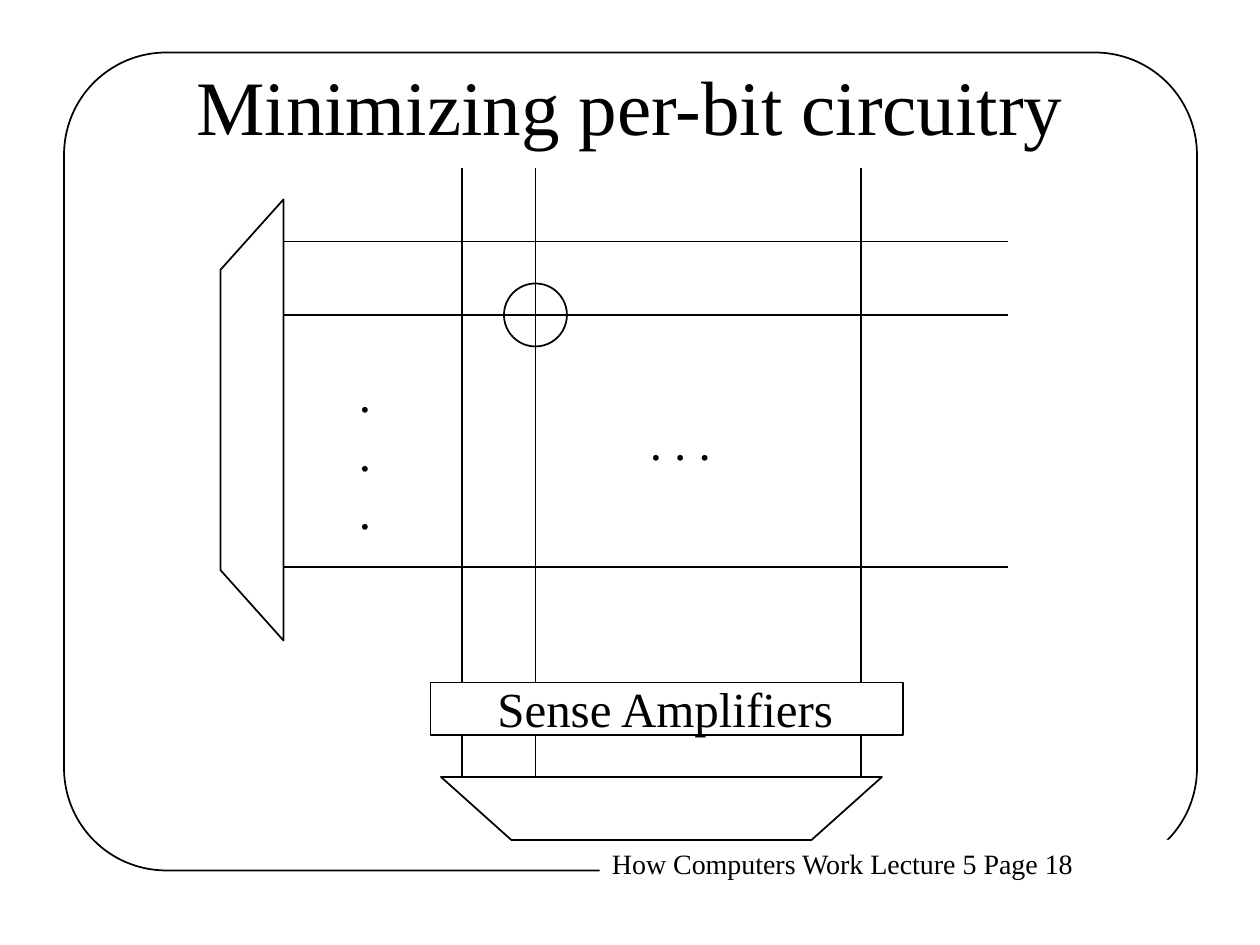
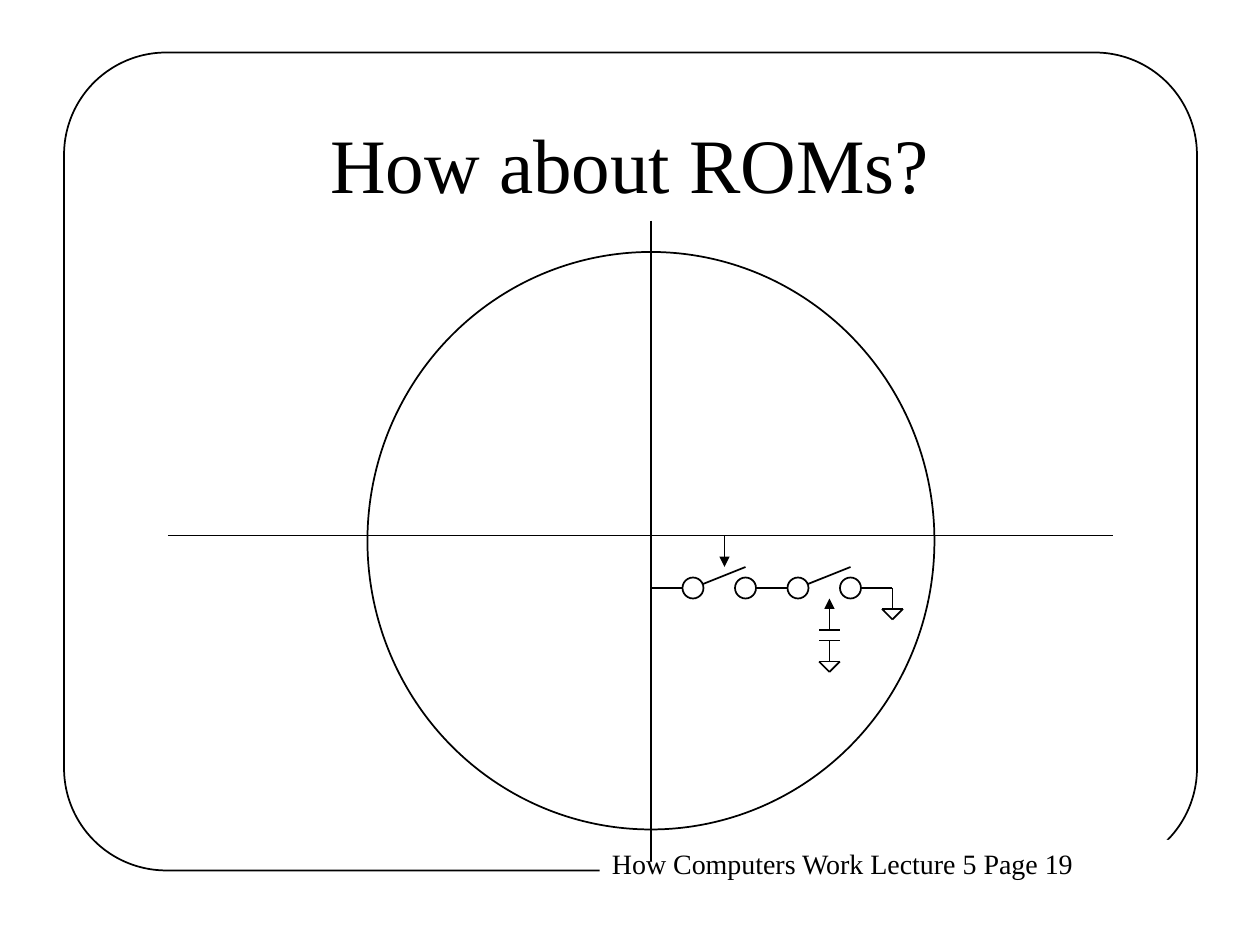
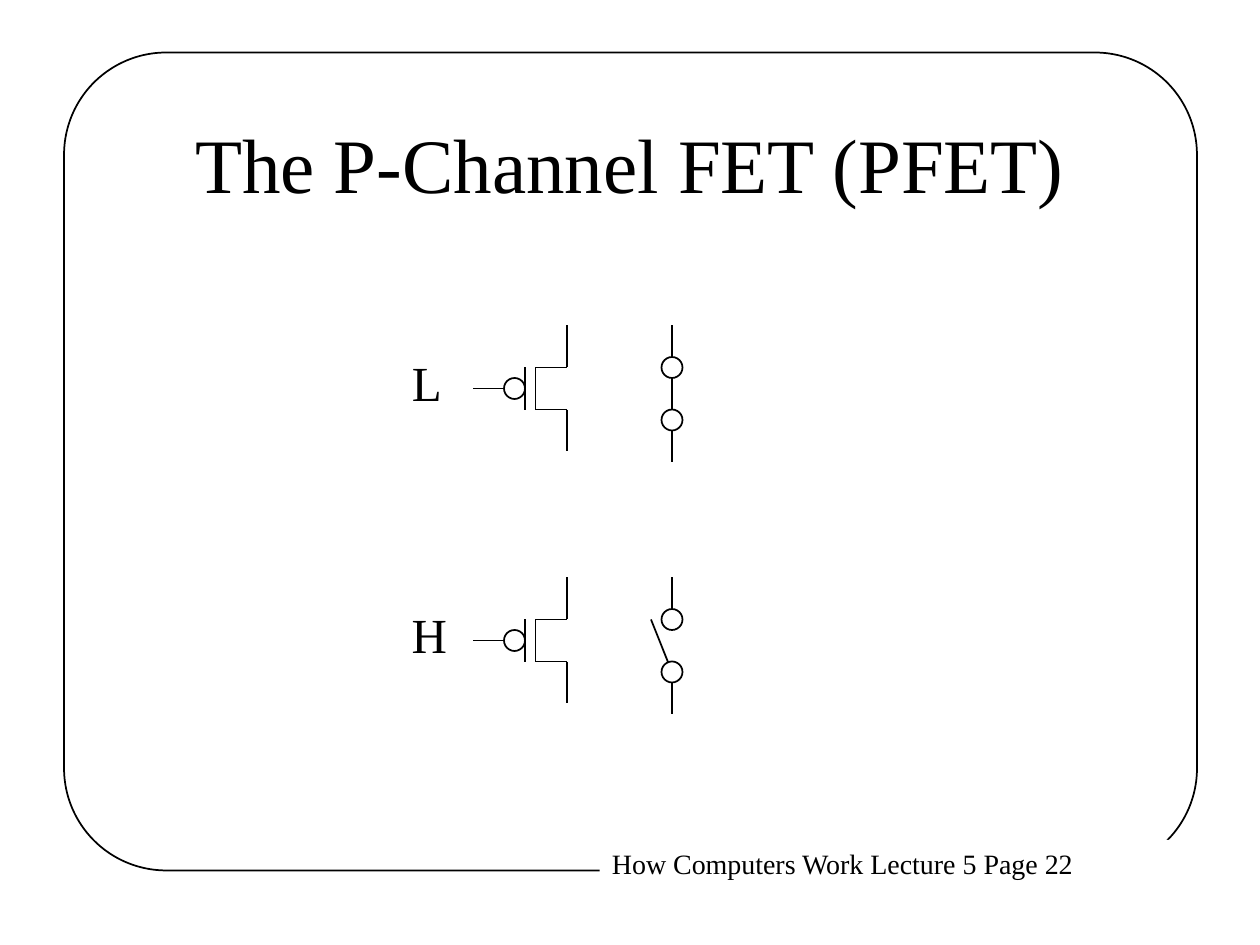
from lxml.etree import SubElement
from pptx import Presentation
from pptx.dml.color import RGBColor
from pptx.enum.shapes import MSO_CONNECTOR, MSO_SHAPE
from pptx.enum.text import MSO_ANCHOR, MSO_AUTO_SIZE, PP_ALIGN
from pptx.oxml.ns import qn
from pptx.util import Cm, Pt

BLACK = RGBColor(0, 0, 0)
WHITE = RGBColor(255, 255, 255)
GRID_CM = 2.54 / 12
FONT = {"name": "Times New Roman"}
TITLE_SIZE, LABEL_SIZE, FOOTER_SIZE = 44, 28, 16
LOW_TITLE = (9, 8, 102, 15)
HIGH_TITLE = (9, 5, 102, 10)


def grid(*units):
    return [Cm(unit * GRID_CM) for unit in units]


def apply_format(target, values):
    for name, value in values.items():
        setattr(target, name, value)


def draw_outline(line):
    line.color.rgb = BLACK
    line.width = Pt(1)


def style_shape(shape, fill=None):
    shape.shadow.inherit = False
    draw_outline(shape.line)
    if fill is None:
        shape.fill.background()
    else:
        shape.fill.solid()
        shape.fill.fore_color.rgb = fill


def add_outline(slide, kind, box, fill=None):
    shape = slide.shapes.add_shape(kind, *grid(*box))
    style_shape(shape, fill)
    return shape


def add_wire(slide, start, end, arrow=False):
    wire = slide.shapes.add_connector(MSO_CONNECTOR.STRAIGHT, *grid(*start, *end))
    draw_outline(wire.line)
    properties = wire._element.spPr
    if arrow:
        SubElement(properties.get_or_add_ln(), qn("a:tailEnd"), type="triangle")
    SubElement(properties, qn("a:effectLst"))


def add_path(slide, *points):
    for start, end in zip(points, points[1:]):
        add_wire(slide, start, end)


def add_multiplexer(slide, *points):
    start, *others = [grid(*point) for point in points]
    builder = slide.shapes.build_freeform(*start)
    builder.add_line_segments(others, close=True)
    style_shape(builder.convert_to_shape())


def write_text(shape, lines, size, alignment, **frame_format):
    frame = shape.text_frame
    apply_format(frame, frame_format)
    frame.text = "\n".join(lines)
    for paragraph in frame.paragraphs:
        apply_format(paragraph, {"alignment": alignment, "line_spacing": Pt(size * 1.2)})
        apply_format(paragraph.font, {**FONT, "size": Pt(size)})
        paragraph.font.color.rgb = BLACK


def add_label(slide, box, *lines):
    label = slide.shapes.add_textbox(*grid(*box))
    write_text(label, lines, LABEL_SIZE, PP_ALIGN.CENTER, word_wrap=False,
               vertical_anchor=MSO_ANCHOR.MIDDLE,
               auto_size=MSO_AUTO_SIZE.SHAPE_TO_FIT_TEXT)


def add_lecture_slide(presentation, title, title_box, page):
    slide = presentation.slides.add_slide(presentation.slide_layouts[6])
    frame = add_outline(slide, MSO_SHAPE.ROUNDED_RECTANGLE, (6.1, 5, 107.9, 77.9))
    frame.adjustments[0] = 0.125
    footer = add_outline(slide, MSO_SHAPE.RECTANGLE, (57.1, 80, 55.1, 4.4), WHITE)
    footer.line.fill.background()
    write_text(footer, [f"How Computers Work Lecture 5 Page {page}"], FOOTER_SIZE,
               PP_ALIGN.LEFT, word_wrap=False, vertical_anchor=MSO_ANCHOR.TOP,
               auto_size=MSO_AUTO_SIZE.SHAPE_TO_FIT_TEXT)
    heading = slide.shapes.add_textbox(*grid(*title_box))
    write_text(heading, [title], TITLE_SIZE, PP_ALIGN.CENTER, word_wrap=True,
               vertical_anchor=MSO_ANCHOR.MIDDLE)
    return slide


def add_terminal(slide, x, y, fill=None):
    add_outline(slide, MSO_SHAPE.OVAL, (x - 1, y - 1, 2, 2), fill)


def add_switch(slide, pivot, contact, blade_tip):
    add_terminal(slide, *contact)
    add_wire(slide, pivot, blade_tip)
    add_terminal(slide, *pivot, WHITE)


def add_ground(slide, x, top):
    bar = top + 2
    add_wire(slide, (x, top), (x, bar))
    add_path(slide, (x - 1, bar), (x + 1, bar), (x, bar + 1), (x - 1, bar))


def add_capacitor(slide, x, top):
    for plate in (top, top + 1):
        add_wire(slide, (x - 1, plate), (x + 1, plate))
    add_ground(slide, x, top + 1)


def add_pfet(slide, y):
    add_path(slide, (54, y - 6), (54, y - 2), (51, y - 2),
             (51, y + 2), (54, y + 2), (54, y + 6))
    add_wire(slide, (50, y - 2), (50, y + 2))
    add_wire(slide, (48, y), (45, y))
    add_terminal(slide, 49, y, WHITE)


def add_pfet_state(slide, level, label_width, y, blade_tip):
    x = 64
    add_pfet(slide, y)
    add_wire(slide, (x, y - 6), (x, y - 3))
    add_wire(slide, (x, y + 4), (x, y + 7))
    add_switch(slide, (x, y + 3), (x, y - 2), blade_tip)
    add_label(slide, (38, y - 4, label_width, 6.8), level)


def build_bit_array(presentation):
    slide = add_lecture_slide(presentation, "Minimizing per-bit circuitry", HIGH_TITLE, 18)
    add_multiplexer(slide, (27, 61), (27, 19), (21, 25.7), (21, 54.3))
    add_multiplexer(slide, (84, 74), (42, 74), (48.7, 80), (77.3, 80))
    for row in (23, 30, 54):
        add_wire(slide, (27, row), (96, row))
    for column in (44, 51, 82):
        add_wire(slide, (column, 16), (column, 65))
        add_wire(slide, (column, 74), (column, 70))
    add_outline(slide, MSO_SHAPE.OVAL, (48, 27, 6, 6))
    add_outline(slide, MSO_SHAPE.RECTANGLE, (41, 65, 45, 5))
    add_label(slide, (33, 34, 3.5, 18), ".", ".", ".")
    add_label(slide, (60.7, 38.6, 8.2, 6.8), ". . .")
    add_label(slide, (46.1, 64, 34.5, 6.8), "Sense Amplifiers")


def build_rom_cell(presentation):
    slide = add_lecture_slide(presentation, "How about ROMs?", LOW_TITLE, 19)
    add_outline(slide, MSO_SHAPE.OVAL, (35, 24, 54, 55))
    add_wire(slide, (16, 51), (106, 51))
    add_wire(slide, (62, 21), (62, 82))
    for left in (62, 72, 82):
        add_wire(slide, (left, 56), (left + 3, 56))
    for pivot in (66, 76):
        add_switch(slide, (pivot, 56), (pivot + 5, 56), (pivot + 5, 54))
    add_wire(slide, (69, 51), (69, 54), arrow=True)
    add_wire(slide, (79, 60), (79, 57), arrow=True)
    add_capacitor(slide, 79, 60)
    add_ground(slide, 85, 56)


def build_pfet(presentation):
    slide = add_lecture_slide(presentation, "The P-Channel FET (PFET)", LOW_TITLE, 22)
    add_pfet_state(slide, "L", 5.3, 37, (64, 36))
    add_pfet_state(slide, "H", 5.8, 61, (62, 59))


def main():
    presentation = Presentation()
    apply_format(presentation, {"slide_width": Cm(25.4), "slide_height": Cm(19.05)})
    build_bit_array(presentation)
    build_rom_cell(presentation)
    build_pfet(presentation)
    presentation.save("out.pptx")


if __name__ == "__main__":
    main()
